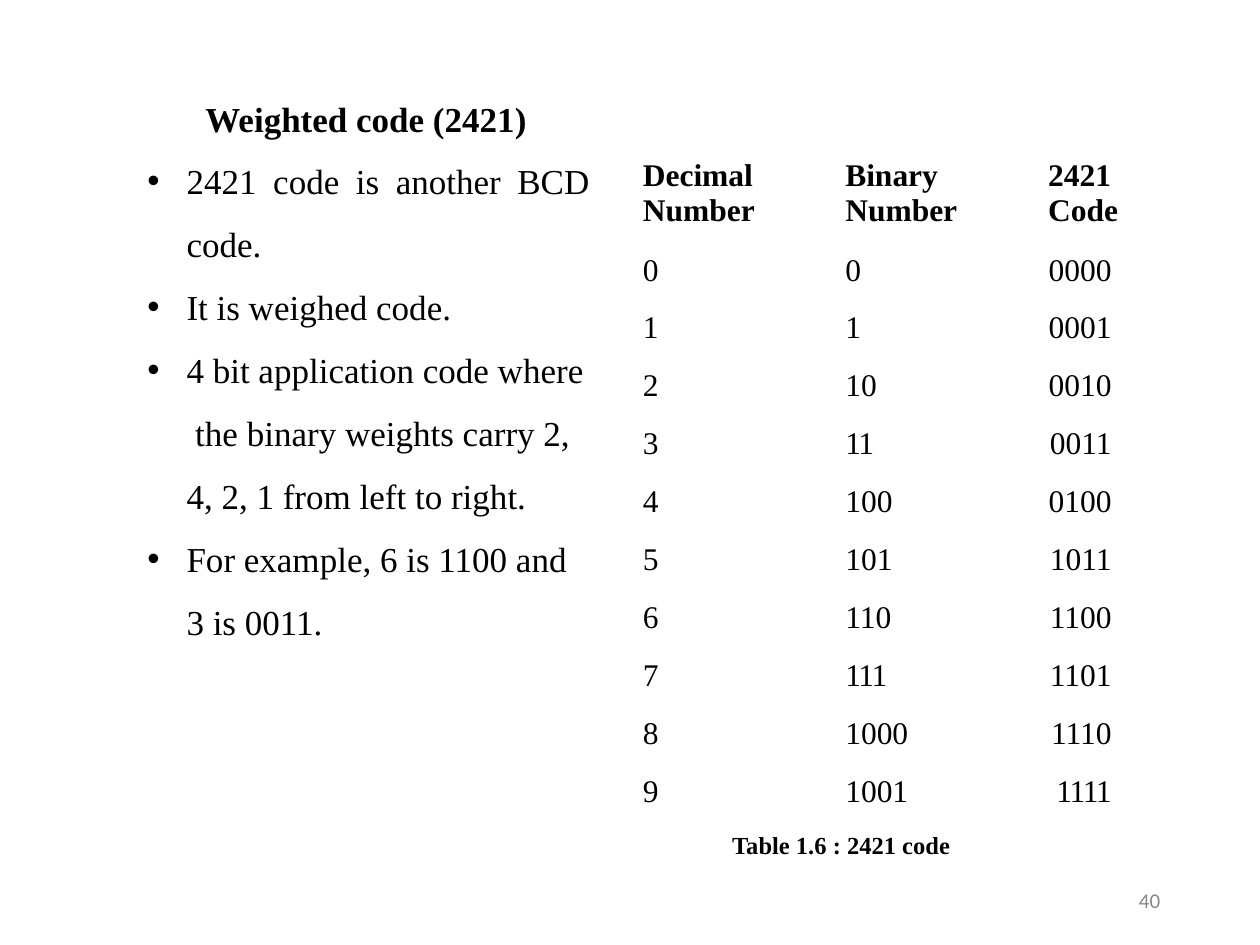
from pptx import Presentation
from pptx.dml.color import RGBColor
from pptx.enum.text import MSO_ANCHOR, MSO_AUTO_SIZE, PP_ALIGN
from pptx.util import Cm, Pt

SERIF = "Times New Roman"
TITLE = "Weighted code (2421)"
BULLETS = [
    ("2421 code is another BCD code.", PP_ALIGN.JUSTIFY),
    ("It is weighed code.", PP_ALIGN.LEFT),
    ("4 bit application code where\v the binary weights carry 2,\v"
     "4, 2, 1 from left to right.", PP_ALIGN.LEFT),
    ("For example, 6 is 1100 and\v3 is 0011.", PP_ALIGN.LEFT),
]
HEADERS = ["Decimal\vNumber", "Binary\vNumber", "2421\vCode"]
CODES = ["0000", "0001", "0010", "0011", "0100",
         "1011", "1100", "1101", "1110", "1111"]
CAPTION = "Table 1.6 : 2421 code"
PAGE = "40"

COL_WIDTHS = [3.53, 4.09, 2.67]
COL_INDENTS = [0.36, 0.91, 0.91]
ROW_HEIGHTS = [1.73, 1.19] + [1.17] * 8 + [0.94]


def write(p, text, size, color="000000", name=SERIF, bold=False, **paragraph):
    p.text = text
    paragraph = {"space_before": Pt(0), "alignment": PP_ALIGN.LEFT, **paragraph}
    for key, value in paragraph.items():
        setattr(p, key, value)
    for r in p.runs:
        for key, value in {"size": Pt(size), "name": name, "bold": bold}.items():
            setattr(r.font, key, value)
        r.font.color.rgb = RGBColor.from_string(color)


def place(sp, left, top, width, height, wrap=False):
    """Position a text shape and return its text frame without margins."""
    sp.left, sp.top, sp.width, sp.height = map(Cm, (left, top, width, height))
    tf = sp.text_frame
    layout = {"margin_left": 0, "margin_top": 0, "margin_right": 0,
              "margin_bottom": 0, "word_wrap": wrap,
              "auto_size": MSO_AUTO_SIZE.NONE,
              "vertical_anchor": MSO_ANCHOR.TOP}
    for key, value in layout.items():
        setattr(tf, key, value)
    return tf


def add_text(s, box, text, size, **fmt):
    sp = s.shapes.add_textbox(0, 0, 0, 0)
    write(place(sp, *box).paragraphs[0], text, size, **fmt)


def add_bullets(sp):
    tf = place(sp, 2.92, 2.79, 8.97, 10.2, wrap=True)
    for i, (text, align) in enumerate(BULLETS):
        p = tf.add_paragraph() if i else tf.paragraphs[0]
        write(p, text, 20, alignment=align, line_spacing=Pt(36))
        pPr = p._p.get_or_add_pPr()
        pPr.set("marL", str(Cm(0.84)))
        pPr.set("indent", str(-Cm(0.79)))


def add_code_table(s):
    rows = [HEADERS] + [[str(n), f"{n:b}", code] for n, code in enumerate(CODES)]
    frame = s.shapes.add_table(len(rows), len(HEADERS), Cm(12.6), Cm(3.18),
                               Cm(sum(COL_WIDTHS)), Cm(sum(ROW_HEIGHTS)))
    table = frame.table
    table.first_row = table.horz_banding = False
    for col, width in zip(table.columns, COL_WIDTHS):
        col.width = Cm(width)
    for row, height in zip(table.rows, ROW_HEIGHTS):
        row.height = Cm(height)
    for i, row in enumerate(rows):
        for j, text in enumerate(row):
            cell = table.cell(i, j)
            cell.fill.background()
            right = i > 0 and j == 2
            top = {0: 0, 1: 0.2}.get(i, 0.15)
            margins = {"left": 0 if right else COL_INDENTS[j], "top": top,
                       "right": 0.48 if right else 0, "bottom": 0}
            for side, value in margins.items():
                setattr(cell, f"margin_{side}", Cm(value))
            p = cell.text_frame.paragraphs[0]
            write(p, text, 18, bold=i == 0,
                  alignment=PP_ALIGN.RIGHT if right else PP_ALIGN.LEFT,
                  line_spacing=None if i else Pt(20))
            if len(text) > 1 and set(text) == {"1"}:  # tighten runs of ones
                p.runs[0].font._element.set("spc", "-80")


def main():
    prs = Presentation()
    prs.slide_width, prs.slide_height = Cm(25.4), Cm(19.05)
    s = prs.slides.add_slide(prs.slide_layouts[1])
    title, body = s.placeholders
    write(place(title, 4.14, 1.96, 6.55, 0.9).paragraphs[0], TITLE, 20, bold=True)
    add_bullets(body)
    add_code_table(s)
    add_text(s, (14.76, 16.73, 4.47, 0.66), CAPTION, 14, bold=True)
    add_text(s, (22.96, 17.96, 0.64, 0.51), PAGE, 12, color="888888",
             name="Calibri", line_spacing=Pt(12.4))
    prs.save("out.pptx")


if __name__ == "__main__":
    main()
